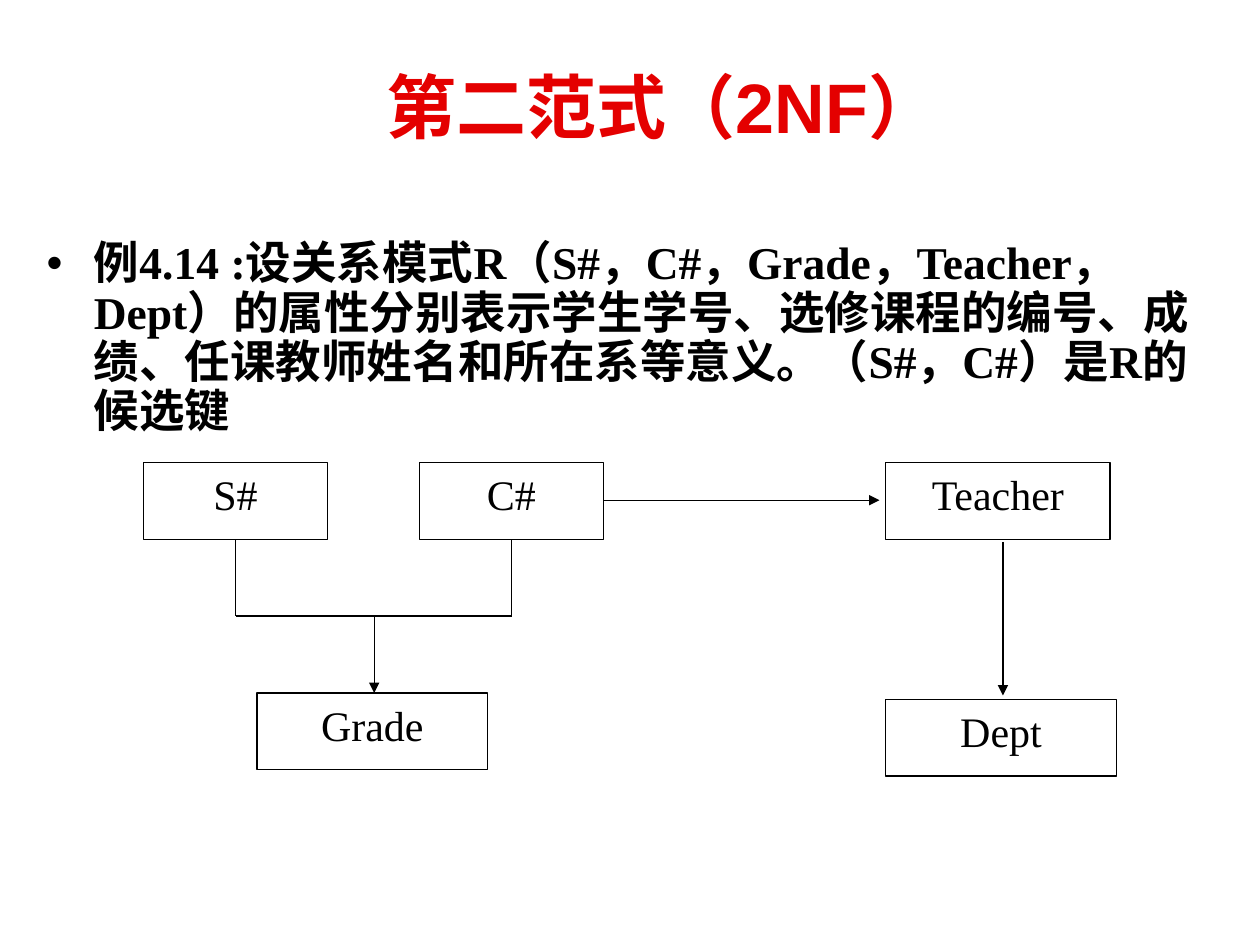
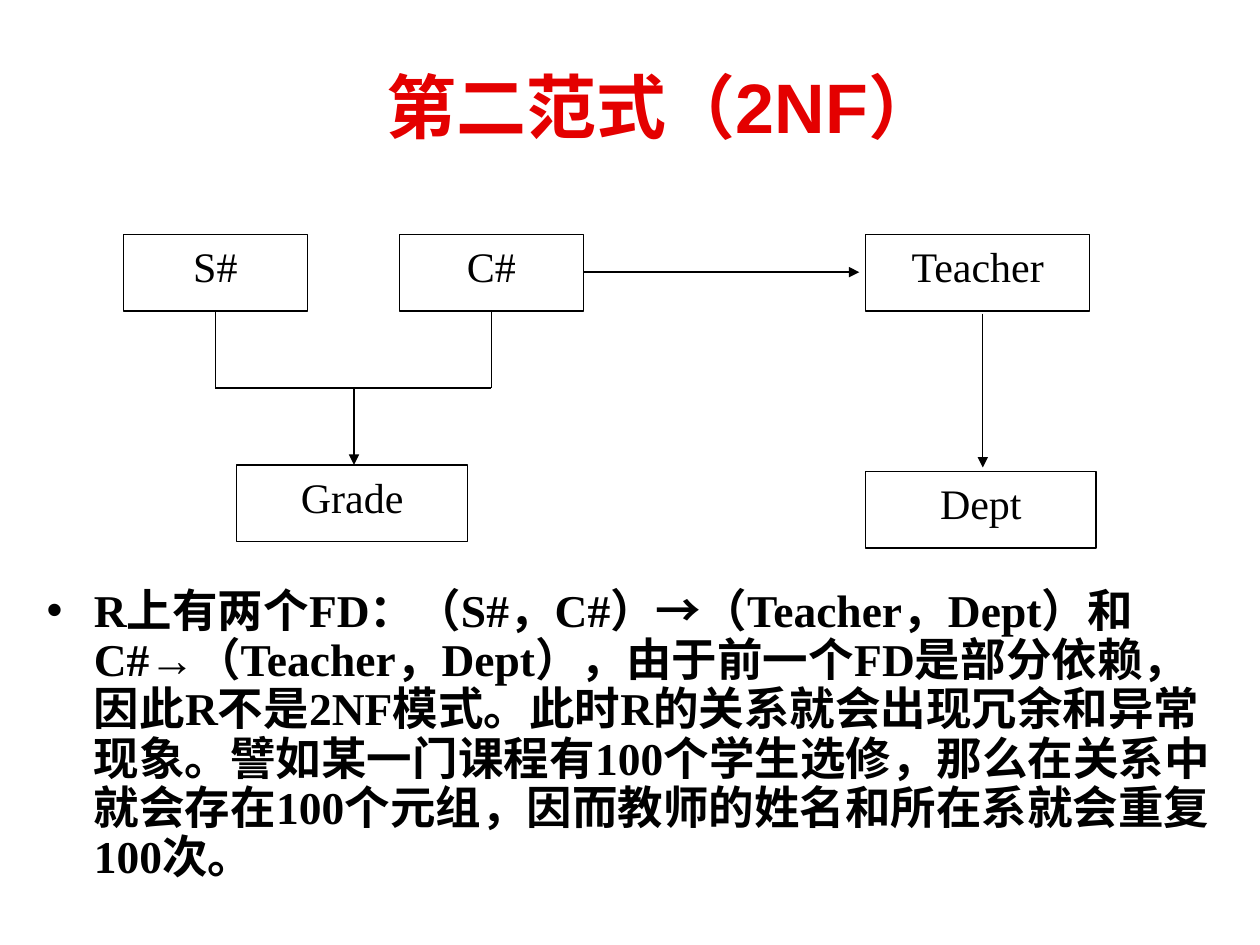
from pptx import Presentation
from pptx.dml.color import RGBColor
from pptx.enum import shapes, text
from pptx.oxml.ns import qn
from pptx.util import Inches, Pt
from lxml import etree

THEME = {
    "ink": RGBColor(0x00, 0x00, 0x00),
    "paper": RGBColor(0xFF, 0xFF, 0xFF),
    "rule": Pt(0.75),
    "title": {"size": Pt(40), "name": "Arial", "bold": True,
              "color": RGBColor(0xE4, 0x00, 0x00)},
    "body": {"size": Pt(26), "name": "Times New Roman", "bold": True,
             "color": RGBColor(0x00, 0x00, 0x00)},
    "node": {"size": Pt(24), "name": "Times New Roman", "bold": False,
             "color": RGBColor(0x00, 0x00, 0x00)},
}
TITLE_AREA = (1.38, 0.44, 7.75, 0.8)

SLIDES = [
    {"body": "例4.14 :设关系模式R（S#，C#，Grade，Teacher，Dept）的属性分别表示学生学号、"
             "选修课程的编号、成绩、任课教师姓名和所在系等意义。（S#，C#）是R的候选键",
     "body_area": (0.27, 1.86, 9.5, 1.5),
     "diagram_origin": (1.14, 3.67)},
    {"body": "R上有两个FD：（S#，C#）→（Teacher，Dept）和C#→（Teacher，Dept），"
             "由于前一个FD是部分依赖，因此R不是2NF模式。此时R的关系就会出现冗余和异常现象。"
             "譬如某一门课程有100个学生选修，那么在关系中就会存在100个元组，"
             "因而教师的姓名和所在系就会重复100次。",
     "body_area": (0.27, 4.62, 9.5, 2.52),
     "diagram_origin": (0.98, 1.86)},
]

# Dependency diagram, measured from its top left corner
NODE_HEIGHT = 0.61
JOIN_Y = 2 * NODE_HEIGHT
GRADE_Y = 3 * NODE_HEIGHT
STUDENT_X, COURSE_X, GRADE_X, TEACHER_X = 0.73, 2.92, 1.83, 6.82
NODES = [  # label, left, top, width, side inset
    ("S#", 0, 0, 1.46, 0.1),
    ("C#", 2.19, 0, 1.46, 0.1),
    ("Grade", 0.9, GRADE_Y, 1.83, 0.1),
    ("Teacher", 5.89, 0, 1.78, 0),
    ("Dept", 5.89, 1.88, 1.83, 0.1),
]
LINKS = [  # x1, y1, x2, y2, has arrowhead
    (STUDENT_X, NODE_HEIGHT, STUDENT_X, JOIN_Y, False),
    (COURSE_X, NODE_HEIGHT, COURSE_X, JOIN_Y, False),
    (STUDENT_X, JOIN_Y, COURSE_X, JOIN_Y, False),
    (GRADE_X, JOIN_Y, GRADE_X, GRADE_Y, True),
    (3.65, 0.3, 5.84, 0.3, True),
    (TEACHER_X, 0.63, TEACHER_X, 1.85, True),
]


def write(shape, wording, style, align):
    """Put one styled paragraph in the shape and return it."""
    frame = shape.text_frame
    frame.word_wrap = True
    frame.auto_size = text.MSO_AUTO_SIZE.NONE
    paragraph = frame.paragraphs[0]
    paragraph.alignment = align
    paragraph.space_before = Pt(0)
    run = paragraph.add_run()
    run.text = wording
    for attribute, value in THEME[style].items():
        if attribute == "color":
            run.font.color.rgb = value
        else:
            setattr(run.font, attribute, value)
    return paragraph


def place(shape, area):
    for side, length in zip(("left", "top", "width", "height"), area):
        setattr(shape, side, Inches(length))


deck = Presentation()
deck.slide_width, deck.slide_height = Inches(10), Inches(7.5)

for content in SLIDES:
    slide = deck.slides.add_slide(deck.slide_layouts[1])
    heading, explanation = slide.placeholders
    place(heading, TITLE_AREA)
    write(heading, "第二范式（2NF）", "title", text.PP_ALIGN.CENTER)
    place(explanation, content["body_area"])
    write(explanation, content["body"], "body", text.PP_ALIGN.LEFT).line_spacing = 0.9

    x0, y0 = content["diagram_origin"]
    for label, left, top, width, inset in NODES:
        node = slide.shapes.add_shape(
            shapes.MSO_SHAPE.RECTANGLE, Inches(x0 + left), Inches(y0 + top),
            Inches(width), Inches(NODE_HEIGHT))
        node.shadow.inherit = False
        node.fill.solid()
        node.fill.fore_color.rgb = THEME["paper"]
        node.line.color.rgb = THEME["ink"]
        node.line.width = THEME["rule"]
        node.text_frame.vertical_anchor = text.MSO_ANCHOR.TOP
        node.text_frame.margin_left = node.text_frame.margin_right = Inches(inset)
        write(node, label, "node", text.PP_ALIGN.CENTER)

    for x1, y1, x2, y2, has_arrow in LINKS:
        link = slide.shapes.add_connector(
            shapes.MSO_CONNECTOR.STRAIGHT, Inches(x0 + x1), Inches(y0 + y1),
            Inches(x0 + x2), Inches(y0 + y2))
        link.line.color.rgb = THEME["ink"]
        link.line.width = THEME["rule"]
        properties = link.line._get_or_add_ln().getparent()
        if has_arrow:
            etree.SubElement(properties.find(qn("a:ln")), qn("a:tailEnd"), type="triangle")
        etree.SubElement(properties, qn("a:effectLst"))

deck.save("out.pptx")
